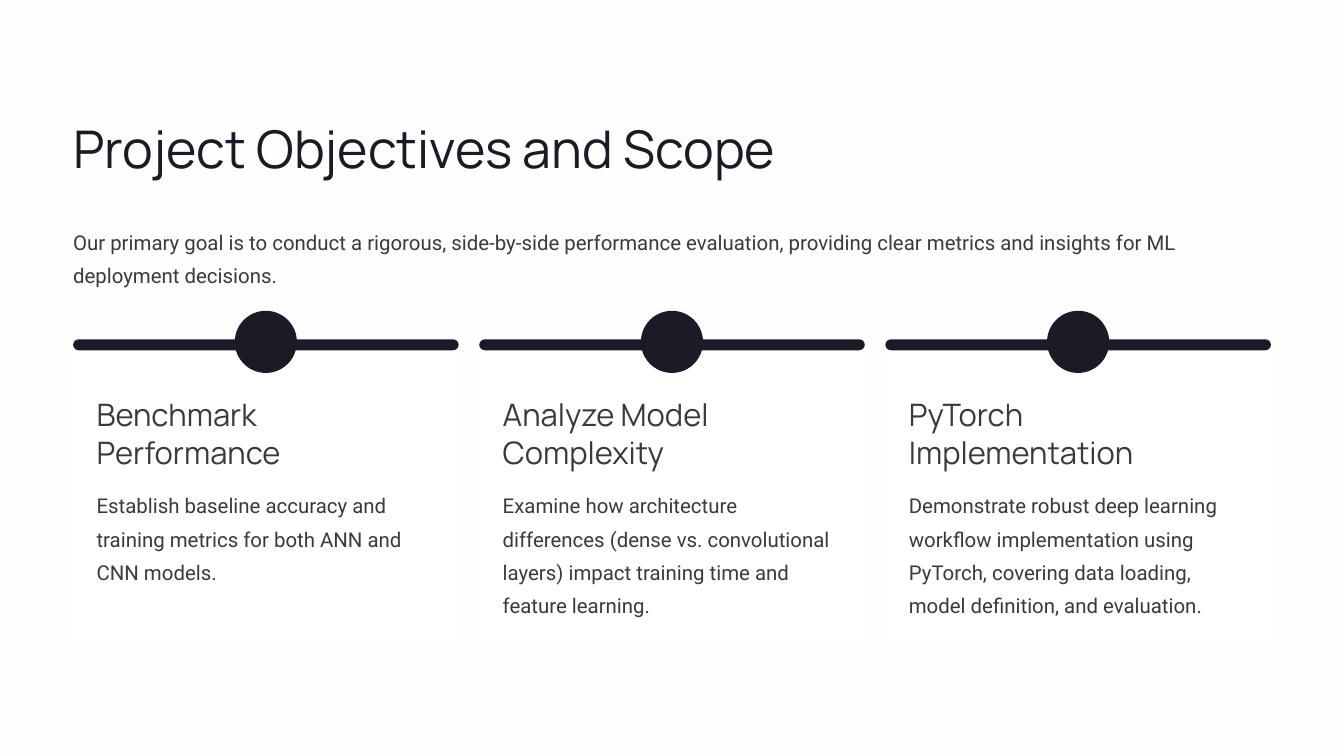
from dataclasses import dataclass

from pptx import Presentation
from pptx.dml.color import RGBColor
from pptx.enum.shapes import MSO_SHAPE
from pptx.enum.text import MSO_ANCHOR, PP_ALIGN
from pptx.slide import Slide
from pptx.util import Inches, Pt

ROUNDED = MSO_SHAPE.ROUNDED_RECTANGLE
TOP = MSO_ANCHOR.TOP
LEFT = PP_ALIGN.LEFT

BACKGROUND = RGBColor(0xFE, 0xFE, 0xFE)
WHITE = RGBColor(0xFF, 0xFF, 0xFF)
NAVY = RGBColor(0x1B, 0x1B, 0x27)
GRAY = RGBColor(0x3C, 0x39, 0x39)

# Column grid, in inches
MARGIN = 0.87
CONTENT_WIDTH = 14.26
CARD_WIDTH = 4.59
CARD_PITCH = (CONTENT_WIDTH - CARD_WIDTH) / 2
CARD_PADDING = 0.28
TEXT_WIDTH = CARD_WIDTH - 2 * CARD_PADDING
DOT_SIZE = 0.74


@dataclass(frozen=True)
class TextStyle:
    font: str
    size: float
    line_spacing: float
    color: RGBColor


@dataclass(frozen=True)
class Objective:
    heading: str
    detail: str


TITLE = TextStyle("Manrope", 44.5, 55.5, NAVY)
HEADING = TextStyle("Manrope", 26.5, 33, GRAY)
BODY = TextStyle("Roboto", 17.5, 28.5, GRAY)

OBJECTIVES = [
    Objective(
        "Benchmark Performance",
        "Establish baseline accuracy and training metrics for both ANN and CNN models.",
    ),
    Objective(
        "Analyze Model Complexity",
        "Examine how architecture differences (dense vs. convolutional layers) "
        "impact training time and feature learning.",
    ),
    Objective(
        "PyTorch Implementation",
        "Demonstrate robust deep learning workflow implementation using PyTorch, "
        "covering data loading, model definition, and evaluation.",
    ),
]


def add_text(slide: Slide, text: str, style: TextStyle, left: float, top: float,
             width: float, height: float, wrap: bool = True) -> None:
    box = slide.shapes.add_textbox(Inches(left), Inches(top), Inches(width), Inches(height))
    frame = box.text_frame
    frame.margin_left = frame.margin_top = frame.margin_right = frame.margin_bottom = 0
    frame.word_wrap = wrap
    frame.vertical_anchor = TOP
    frame.text = text
    paragraph = frame.paragraphs[0]
    paragraph.alignment = LEFT
    paragraph.line_spacing = Pt(style.line_spacing)
    font = paragraph.runs[0].font
    font.name = style.font
    font.size = Pt(style.size)
    font.color.rgb = style.color


def add_rounded(slide: Slide, left: float, top: float, width: float, height: float,
                radius: float, color: RGBColor) -> None:
    shape = slide.shapes.add_shape(
        ROUNDED, Inches(left), Inches(top), Inches(width), Inches(height))
    shape.adjustments[0] = radius
    shape.fill.solid()
    shape.fill.fore_color.rgb = color
    shape.line.fill.background()
    shape.shadow.inherit = False


def add_objective(slide: Slide, objective: Objective, left: float) -> None:
    # Card, bar and dot
    add_rounded(slide, left, 4.07, CARD_WIDTH, 3.57, 0.04, WHITE)
    add_rounded(slide, left, 4.04, CARD_WIDTH, 0.13, 0.5, NAVY)
    dot_left = left + (CARD_WIDTH - DOT_SIZE) / 2
    add_rounded(slide, dot_left, 3.7, DOT_SIZE, DOT_SIZE, 0.5, NAVY)
    # Heading and detail
    text_left = left + CARD_PADDING
    add_text(slide, objective.heading, HEADING, text_left, 4.69, TEXT_WIDTH, 0.93)
    add_text(slide, objective.detail, BODY, text_left, 5.77, TEXT_WIDTH, 1.59)


def main() -> None:
    presentation = Presentation()
    presentation.slide_width = Inches(16)
    presentation.slide_height = Inches(9)
    slide = presentation.slides.add_slide(presentation.slide_layouts[6])
    slide.background.fill.solid()
    slide.background.fill.fore_color.rgb = BACKGROUND

    # Title and introduction
    add_text(slide, "Project Objectives and Scope", TITLE, MARGIN, 1.36, 8.42, 0.78, wrap=False)
    add_text(
        slide,
        "Our primary goal is to conduct a rigorous, side-by-side performance evaluation, "
        "providing clear metrics and insights for ML deployment decisions.",
        BODY, MARGIN, 2.63, CONTENT_WIDTH, 0.79)

    # Three objectives
    for index, objective in enumerate(OBJECTIVES):
        add_objective(slide, objective, MARGIN + index * CARD_PITCH)

    presentation.save("out.pptx")


if __name__ == "__main__":
    main()
